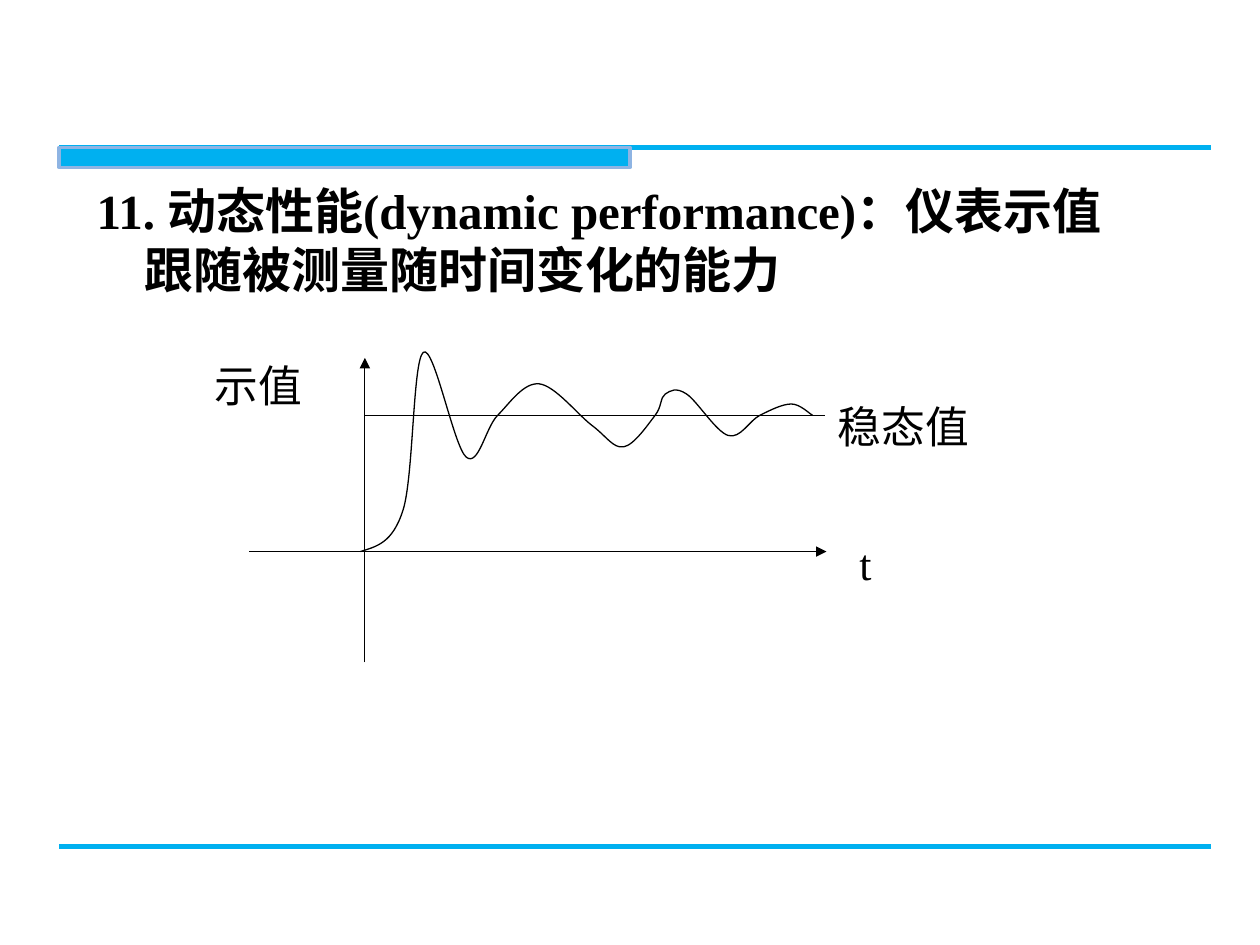
from lxml.etree import SubElement
from pptx import Presentation
from pptx.dml.color import RGBColor
from pptx.enum.shapes import MSO_CONNECTOR, MSO_SHAPE
from pptx.enum.text import MSO_AUTO_SIZE
from pptx.oxml.ns import qn
from pptx.util import Pt

COLORS = {"accent": "00B0F0", "edge": "8EB4E3", "ink": "000000"}
FONT = "Times New Roman"
ORIGIN_X, TIME_Y, STEADY_Y = 208.5, 315.2, 237.4
LEAD_IN = (174.2, 308.9)
RESPONSE = [
    (206, TIME_Y), (230.4, 291.4), (241.9, 201.4), (266.4, 261.2),
    (284.4, STEADY_Y), (308.2, 219.4), (338.4, 243.2), (356.4, 255.4),
    (374.4, STEADY_Y), (380.2, 225.2), (392.4, 225.2), (416.2, 248.9),
    (434.2, STEADY_Y), (452.2, 230.9), (464.4, STEADY_Y),
]


def color(name):
    return RGBColor.from_string(COLORS[name])


def set_line(shape, name, width):
    shape.line.color.rgb = color(name)
    shape.line.width = Pt(width)


def add_line(shapes, start, end, name="ink", width=0.75, arrow=False):
    line = shapes.add_connector(MSO_CONNECTOR.STRAIGHT, *map(Pt, start + end))
    set_line(line, name, width)
    if arrow:
        SubElement(line.line._get_or_add_ln(), qn("a:tailEnd"), type="triangle")
    SubElement(line._element.spPr, qn("a:effectLst"))


def add_bar(shapes, left, top, width, height):
    bar = shapes.add_shape(MSO_SHAPE.RECTANGLE, Pt(left), Pt(top), Pt(width), Pt(height))
    bar.shadow.inherit = False
    bar.fill.solid()
    bar.fill.fore_color.rgb = color("accent")
    set_line(bar, "edge", 2)


def add_text(shapes, text, left, top, width, height, size=25, bold=False):
    box = shapes.add_textbox(Pt(left), Pt(top), Pt(width), Pt(height))
    frame = box.text_frame
    frame.word_wrap = True
    frame.text = text
    span = frame.paragraphs[0].runs[0]
    span.font.name = FONT
    span.font.size = Pt(size)
    span.font.bold = bold
    span.font.color.rgb = color("ink")
    return box


def add_heading(shapes):
    text = "11. 动态性能(dynamic performance)：仪表示值跟随被测量随时间变化的能力"
    box = add_text(shapes, text, 48.2, 99.8, 612, 456.5, size=28, bold=True)
    properties = box.text_frame.paragraphs[0]._p.get_or_add_pPr()
    properties.set("marL", str(Pt(27.4)))
    properties.set("indent", str(Pt(-27.4)))


def add_label(shapes, text, left, top, width):
    box = add_text(shapes, text, left, top, width, 36.7)
    box.text_frame.auto_size = MSO_AUTO_SIZE.SHAPE_TO_FIT_TEXT


def handle(knot, start, end, sign):
    return tuple(k + sign * (b - a) / 6 for k, a, b in zip(knot, start, end))


def add_curve(shapes, knots):
    padded = [LEAD_IN, *knots, knots[-1]]
    points = []
    for before, start, end, after in zip(padded, padded[1:], padded[2:], padded[3:]):
        points += [handle(start, before, end, 1), handle(end, start, after, -1), end]
    builder = shapes.build_freeform(*map(Pt, knots[0]))
    builder.add_line_segments([(Pt(x), Pt(y)) for x, y in points], close=False)
    curve = builder.convert_to_shape()
    outline = next(curve._element.iter(qn("a:path")))
    corners = outline.findall(qn("a:lnTo"))
    for first in range(0, len(corners), 3):
        bend = SubElement(outline, qn("a:cubicBezTo"))
        for corner in corners[first:first + 3]:
            bend.append(corner[0])
            outline.remove(corner)
    curve.shadow.inherit = False
    curve.fill.background()
    set_line(curve, "ink", 0.75)


def add_diagram(page):
    shapes = page.shapes.add_group_shape().shapes
    add_line(shapes, (142.4, TIME_Y), (472.3, TIME_Y), arrow=True)
    add_line(shapes, (ORIGIN_X, 378.5), (ORIGIN_X, 204.5), arrow=True)
    add_line(shapes, (ORIGIN_X, STEADY_Y), (471.6, STEADY_Y))
    add_label(shapes, "稳态值", 471.6, 225, 114.5)
    add_label(shapes, "t", 484, 303, 54)
    add_curve(shapes, RESPONSE)
    add_label(shapes, "示值", 115.5, 201.2, 77.8)


def main():
    deck = Presentation()
    deck.slide_width, deck.slide_height = Pt(720), Pt(540)
    page = deck.slides.add_slide(deck.slide_layouts[6])
    for y in (84.2, 483.8):
        add_line(page.shapes, (33.8, y), (691.9, y), "accent", 3)
    add_bar(page.shapes, 33.8, 84.2, 326.2, 11.5)
    add_heading(page.shapes)
    add_diagram(page)
    deck.save("out.pptx")


if __name__ == "__main__":
    main()
